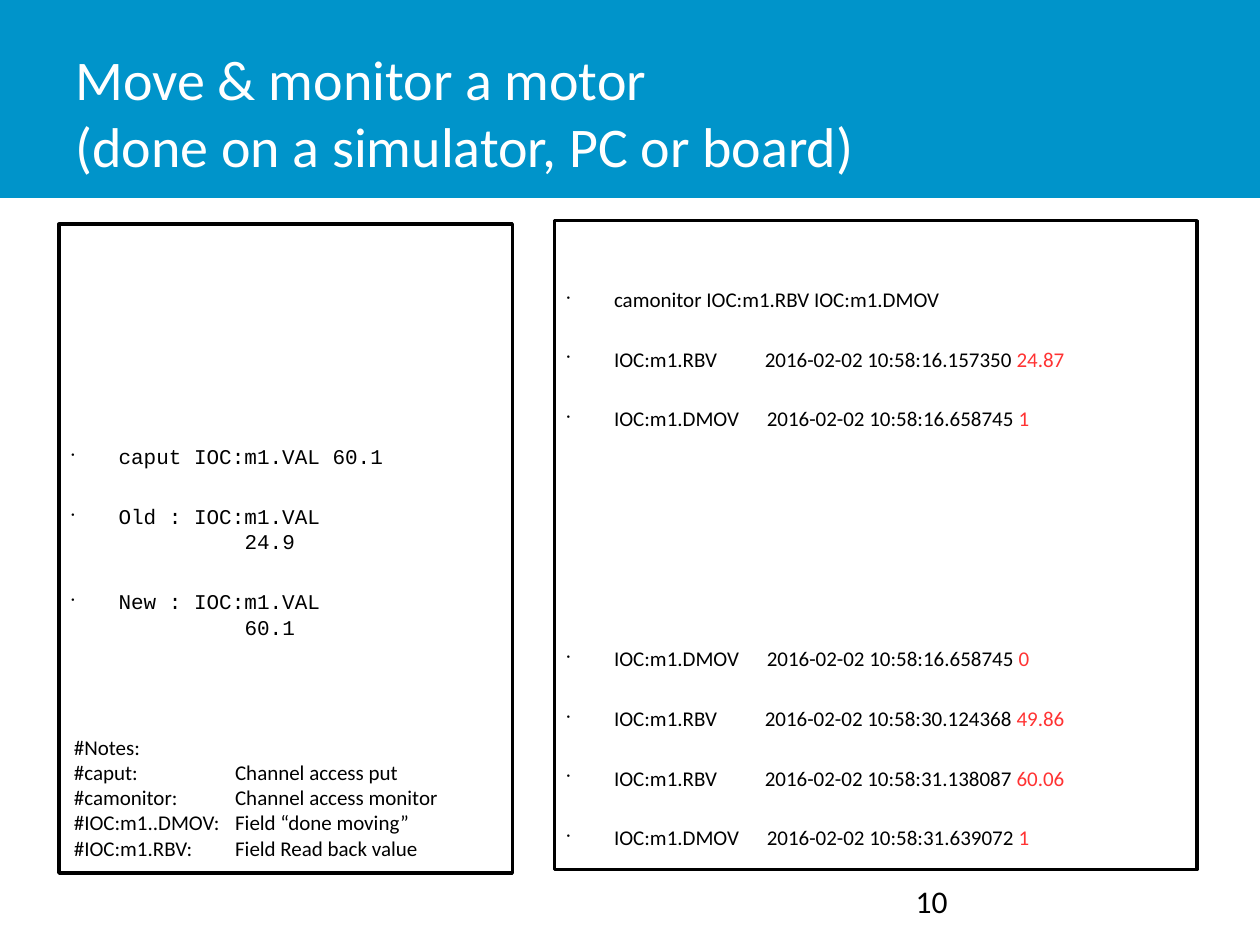
from pptx import Presentation
from pptx.util import Cm, Pt
from pptx.dml.color import RGBColor as Rgb
from pptx.enum.shapes import MSO_SHAPE as Shape
from pptx.enum.text import MSO_ANCHOR as Anchor, PP_ALIGN as Align
from pptx.oxml import parse_xml
from pptx.oxml.ns import nsdecls

HUE = {"band": "0094CA", "ink": "000000", "paper": "FFFFFF", "value": "FF3333"}
BEFORE, AFTER = 5.6, 14.2
PITCH = 34.2
GAPS = {"IOC:m1.RBV": 24.4, "IOC:m1.DMOV": 13}

PUTS = [
    ("caput IOC:m1.VAL 60.1", None),
    ("Old : IOC:m1.VAL", "24.9"),
    ("New : IOC:m1.VAL", "60.1"),
]
START = [
    ("IOC:m1.RBV", "10:58:16.157350", "24.87"),
    ("IOC:m1.DMOV", "10:58:16.658745", "1"),
]
MOVE = [
    ("IOC:m1.DMOV", "10:58:16.658745", "0"),
    ("IOC:m1.RBV", "10:58:30.124368", "49.86"),
    ("IOC:m1.RBV", "10:58:31.138087", "60.06"),
    ("IOC:m1.DMOV", "10:58:31.639072", "1"),
]
NOTES = [
    "#Notes:",
    "#caput:\tChannel access put",
    "#camonitor:\tChannel access monitor",
    "#IOC:m1..DMOV:\tField “done moving”",
    "#IOC:m1.RBV:\tField Read back value",
]


def add_xml(para, tag, body):
    node = f"<a:{tag} {nsdecls('a')} {body}"
    para._p.get_or_add_pPr().append(parse_xml(node))


def style(run, size=12, face="Calibri", hue="ink"):
    run.font.size = Pt(size)
    run.font.name = face
    run.font.color.rgb = Rgb.from_string(HUE[hue])


def add_box(slide, box, fill, line=None):
    rect = slide.shapes.add_shape(Shape.RECTANGLE, *map(Cm, box))
    rect.shadow.inherit = False
    rect.fill.solid()
    rect.fill.fore_color.rgb = Rgb.from_string(HUE[fill])
    if line:
        rect.line.color.rgb = Rgb.from_string(HUE[line])
        rect.line.width = Pt(2)
    else:
        rect.line.fill.background()
    return rect


def add_text(slide, box, text, size, hue="ink", anchor=Anchor.TOP):
    frame = slide.shapes.add_textbox(*map(Cm, box)).text_frame
    frame.word_wrap = True
    frame.vertical_anchor = anchor
    frame.text = text
    for para in frame.paragraphs:
        for run in para.runs:
            style(run, size, hue=hue)
    return frame


def add_panel(slide, box, top):
    frame = add_box(slide, box, "paper", "ink").text_frame
    frame.word_wrap = True
    frame.vertical_anchor = Anchor.TOP
    frame.margin_top = Cm(top)
    return frame


def add_item(frame, before=BEFORE, after=AFTER, left=0.95, bullet=True):
    first = not frame.paragraphs[0].runs
    para = frame.paragraphs[0] if first else frame.add_paragraph()
    para.alignment = Align.LEFT
    para.space_before = Pt(0 if first else before)
    para.space_after = Pt(after)
    props = para._p.get_or_add_pPr()
    props.set("marL", str(Cm(left)))
    props.set("indent", str(Cm(-0.95) if bullet else 0))
    if bullet:
        add_xml(para, "buClr", f'><a:srgbClr val="{HUE["ink"]}"/></a:buClr>')
        add_xml(para, "buSzPct", 'val="45000"/>')
        add_xml(para, "buChar", 'char="•"/>')
    return para


def add_run(para, text, face="Calibri", hue="ink"):
    run = para.add_run()
    run.text = text
    style(run, face=face, hue=hue)
    return run


def add_head(slide, box):
    x, y, w, h = box
    add_box(slide, box, "band")
    title = "Move & monitor a motor\v(done on a simulator, PC or board)"
    place = x + 1.27, y + 0.66, w - 5.56, h - 0.81
    add_text(slide, place, title, 32, "paper", Anchor.MIDDLE)


def add_puts(slide, box):
    frame = add_panel(slide, box, 4.43)
    for text, value in PUTS:
        para = add_item(frame, after=0 if value else AFTER)
        add_run(para, text, "Courier New")
        if value:
            para = add_item(frame, before=0, left=3.49, bullet=False)
            add_run(para, value, "Courier New")


def add_notes(slide, box):
    frame = add_text(slide, box, "\n".join(NOTES), 12)
    for para in frame.paragraphs:
        add_xml(para, "tabLst", f'><a:tab pos="{Cm(3.25)}" algn="l"/></a:tabLst>')


def add_log(slide, box):
    frame = add_panel(slide, box, 1.32)
    add_run(add_item(frame), "camonitor IOC:m1.RBV IOC:m1.DMOV")
    for group, extra in ((START, 0), (MOVE, 3 * PITCH)):
        for i, (name, time, value) in enumerate(group):
            para = add_item(frame, BEFORE + (0 if i else extra))
            add_run(para, name)
            gap = add_run(para, " ")
            gap.font._element.set("spc", str(round(GAPS[name] * 100)))
            add_run(para, f"2016-02-02 {time} ")
            add_run(para, value, hue="value")


def main():
    deck = Presentation()
    deck.slide_width, deck.slide_height = Cm(25.4), Cm(19.05)
    slide = deck.slides.add_slide(deck.slide_layouts[6])
    add_head(slide, (0, 0, 25.4, 3.99))
    add_puts(slide, (1.19, 4.52, 9.14, 13.08))
    add_log(slide, (11.18, 4.45, 12.95, 13.08))
    add_text(slide, (18.21, 17.65, 5.92, 1.02), "10", 18)
    add_notes(slide, (1.24, 14.68, 8.92, 2.79))
    deck.save("out.pptx")


if __name__ == "__main__":
    main()
